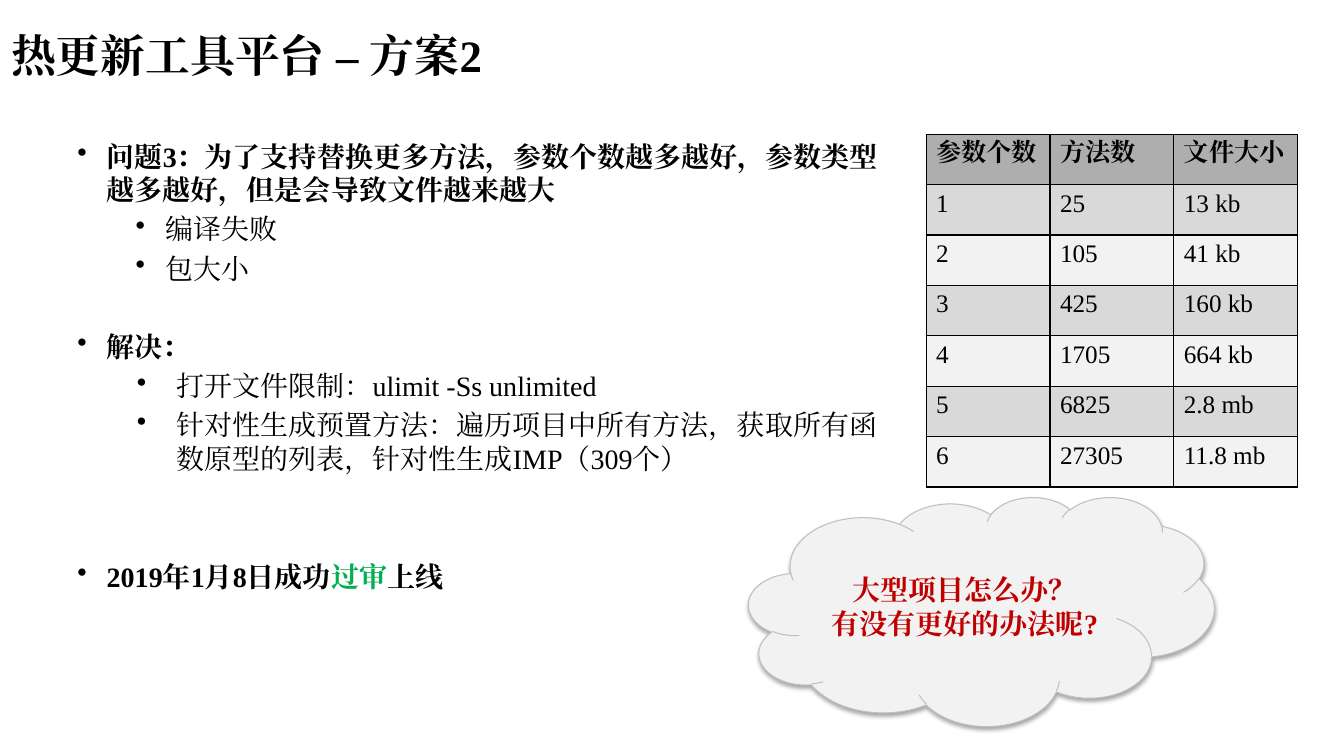
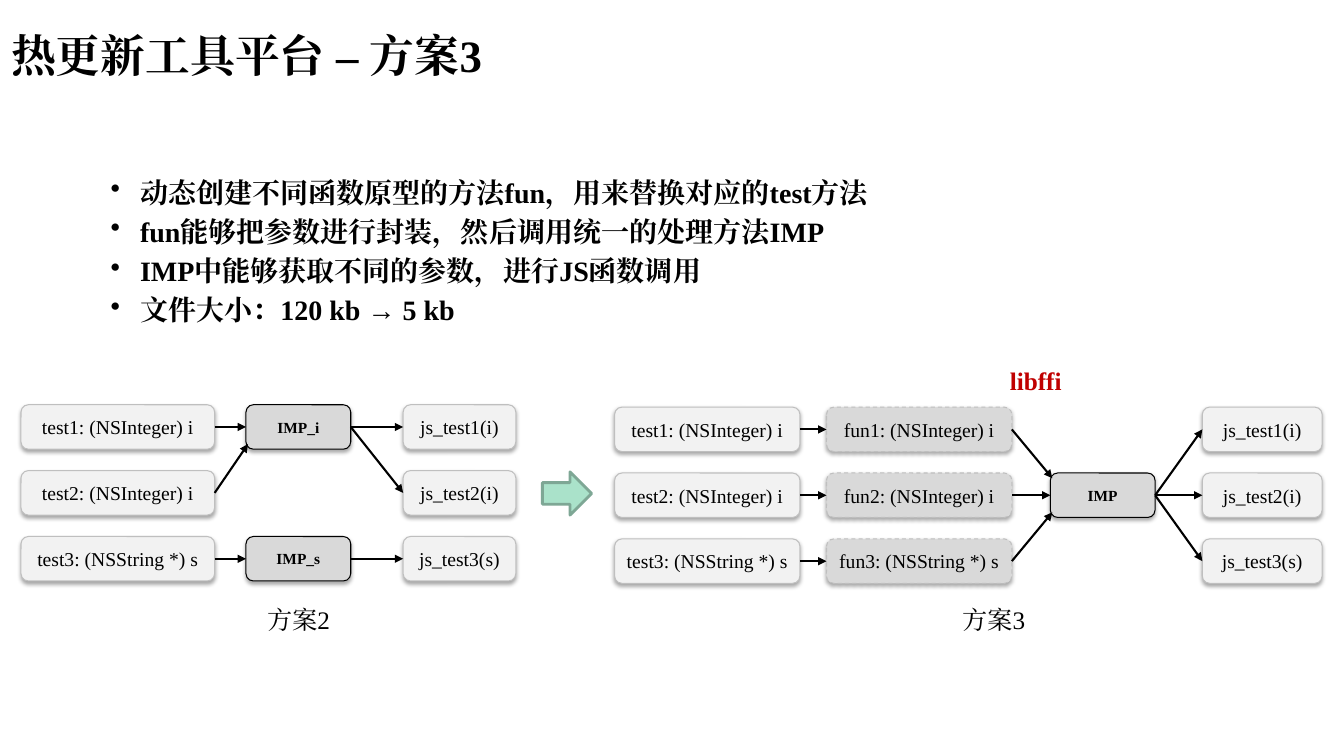
"""Build two slides on a hot-update tool platform: schemes 2 and 3."""
from dataclasses import dataclass

from pptx import Presentation
from pptx.dml.color import RGBColor
from pptx.enum.dml import MSO_LINE
from pptx.enum.lang import MSO_LANGUAGE_ID as Language
from pptx.enum.shapes import MSO_CONNECTOR as Connector, MSO_SHAPE as Preset
from pptx.enum.text import MSO_ANCHOR as Anchor, PP_ALIGN as Align
from pptx.oxml.ns import qn
from pptx.oxml.xmlchemy import OxmlElement
from pptx.util import Cm, Pt


@dataclass(frozen=True)
class Theme:
    font: str = "Times New Roman"
    black: str = "000000"
    red: str = "C00000"
    green: str = "00B050"
    pale: str = "F2F2F2"
    grey: str = "D9D9D9"
    header: str = "AEAEAE"
    outline: str = "BFBFBF"
    mint: str = "AAE2CA"
    mint_line: str = "7EA795"
    title: int = 32
    body: int = 20
    label: int = 18
    node: int = 14
    hub: int = 11


THEME = Theme()

BULLET_INDENTS = {"top": (0.74, 0.74), "sub": (2.21, 0.74), "step": (2.49, 0.99)}
LINE_GAP = 4

SCHEME2_TITLE = "热更新工具平台 – 方案2"
SCHEME2_BULLETS = [
    ("top", 0, [("问题3：为了支持替换更多方法，参数个数越多越好，参数类型越多越好，但是会导致文件越来越大", THEME.black)]),
    ("sub", LINE_GAP, [("编译失败", THEME.black)]),
    ("sub", LINE_GAP, [("包大小", THEME.black)]),
    ("top", 32, [("解决：", THEME.black)]),
    ("step", LINE_GAP, [("打开文件限制：ulimit -Ss unlimited", THEME.black)]),
    ("step", LINE_GAP, [("针对性生成预置方法：遍历项目中所有方法，获取所有函数原型的列表，针对性生成IMP（309个）", THEME.black)]),
    ("top", 60, [("2019年1月8日成功", THEME.black), ("过审", THEME.green), ("上线", THEME.black)]),
]
SIZE_TABLE = [
    ("参数个数", "方法数", "文件大小"),
    ("1", "25", "13 kb"),
    ("2", "105", "41 kb"),
    ("3", "425", "160 kb"),
    ("4", "1705", "664 kb"),
    ("5", "6825", "2.8 mb"),
    ("6", "27305", "11.8 mb"),
]
CLOUD_LINES = ["大型项目怎么办？", "有没有更好的办法呢?"]

SCHEME3_TITLE = "热更新工具平台 – 方案3"
SCHEME3_LINES = [
    "动态创建不同函数原型的方法fun，用来替换对应的test方法",
    "fun能够把参数进行封装，然后调用统一的处理方法IMP",
    "IMP中能够获取不同的参数，进行JS函数调用",
    "文件大小：120 kb → 5 kb",
]
SCHEME3_BULLETS = [
    ("top", LINE_GAP if index else 0, [(line, THEME.black)])
    for index, line in enumerate(SCHEME3_LINES)
]
TESTS = ["test1: (NSInteger) i", "test2: (NSInteger) i", "test3: (NSString *) s"]
FUNS = ["fun1: (NSInteger) i", "fun2: (NSInteger) i", "fun3: (NSString *) s"]
SCRIPTS = ["js_test1(i)", "js_test2(i)", "js_test3(s)"]

NODE_STYLES = {
    "plain": (THEME.pale, THEME.outline, THEME.node),
    "dashed": (THEME.grey, THEME.outline, THEME.node),
    "hub": (THEME.grey, THEME.black, THEME.hub),
}
NODE_HEIGHT, ROW_PITCH = 1.12, 1.66
DIAGRAMS = [
    {
        "top": 10.2,
        "columns": [
            (0.53, 4.88, "plain", dict(enumerate(TESTS))),
            (6.2, 2.64, "hub", {0: "IMP_i", 2: "IMP_s"}),
            (10.16, 2.84, "plain", dict(enumerate(SCRIPTS))),
        ],
        "links": [
            (TESTS[0], "IMP_i"), (TESTS[1], "IMP_i"), (TESTS[2], "IMP_s"),
            ("IMP_i", SCRIPTS[0]), ("IMP_i", SCRIPTS[1]), ("IMP_s", SCRIPTS[2]),
        ],
    },
    {
        "top": 10.26,
        "columns": [
            (15.49, 4.67, "plain", dict(enumerate(TESTS))),
            (20.83, 4.67, "dashed", dict(enumerate(FUNS))),
            (26.47, 2.64, "hub", {1: "IMP"}),
            (30.3, 3.02, "plain", dict(enumerate(SCRIPTS))),
        ],
        "links": [
            *zip(TESTS, FUNS),
            *((fun, "IMP") for fun in FUNS),
            *(("IMP", script) for script in SCRIPTS),
        ],
    },
]
DIAGRAM_LABELS = [
    ("方案2", 6.48, 15.11, THEME.black, False),
    ("方案3", 24, 15.11, THEME.black, False),
    ("libffi", 25.2, 9.07, THEME.red, True),
]


def rgb(value):
    return RGBColor.from_string(value)


def child(parent, tag, **attributes):
    element = OxmlElement(tag)
    for name, value in attributes.items():
        element.set(name, str(value))
    parent.append(element)
    return element


def add_run(paragraph, text, size, color=THEME.black, bold=False):
    run = paragraph.add_run()
    run.text = text
    font = run.font
    font.name, font.size, font.bold = THEME.font, Pt(size), bold
    font.color.rgb = rgb(color)
    font.language_id = Language.SIMPLIFIED_CHINESE
    child(font._element, "a:ea", typeface=THEME.font)


def add_text_box(slide, left, top, width, height):
    frame = slide.shapes.add_textbox(Cm(left), Cm(top), Cm(width), Cm(height)).text_frame
    frame.word_wrap = True
    return frame


def add_titled_slide(presentation, title):
    slide = presentation.slides.add_slide(presentation.slide_layouts[6])
    frame = add_text_box(slide, 0.03, 0.2, 22.28, 2.34)
    frame.vertical_anchor = Anchor.MIDDLE
    add_run(frame.paragraphs[0], title, THEME.title, bold=True)
    return slide


def add_bullets(slide, bullets, left, top, width, height):
    frame = add_text_box(slide, left, top, width, height)
    for index, (level, gap, runs) in enumerate(bullets):
        paragraph = frame.add_paragraph() if index else frame.paragraphs[0]
        margin, hanging = BULLET_INDENTS[level]
        properties = paragraph._p.get_or_add_pPr()
        properties.set("marL", str(Cm(margin)))
        properties.set("indent", str(-Cm(hanging)))
        child(properties, "a:buChar", char="•")
        paragraph.space_before = Pt(gap)
        for text, color in runs:
            add_run(paragraph, text, THEME.body, color, bold=level == "top")


def add_preset(slide, preset, box, fill, line, weight=0.75):
    shape = slide.shapes.add_shape(preset, *(Cm(value) for value in box))
    shape.shadow.inherit = False
    shape.fill.solid()
    shape.fill.fore_color.rgb = rgb(fill)
    shape.line.color.rgb = rgb(line)
    shape.line.width = Pt(weight)
    return shape


def add_shadow(shape):
    effects = shape._element.spPr.find(qn("a:effectLst"))
    shadow = child(effects, "a:outerShdw", blurRad=Pt(3.1), dist=Pt(1.8),
                   dir=5400000, rotWithShape=0)
    color = child(shadow, "a:srgbClr", val=THEME.black)
    child(color, "a:alpha", val=35000)


def write_centred(shape, lines, size, color=THEME.black, bold=False):
    frame = shape.text_frame
    frame.word_wrap = True
    frame.vertical_anchor = Anchor.MIDDLE
    for index, line in enumerate(lines):
        paragraph = frame.add_paragraph() if index else frame.paragraphs[0]
        paragraph.alignment = Align.CENTER
        add_run(paragraph, line, size, color, bold)


def add_cell_borders(cell):
    properties = cell._tc.get_or_add_tcPr()
    for side in ("L", "R", "T", "B"):
        line = child(properties, f"a:ln{side}", w=Pt(1))
        child(child(line, "a:solidFill"), "a:srgbClr", val=THEME.black)


def add_size_table(slide, rows, left, top, column_width, row_height):
    columns = len(rows[0])
    table = slide.shapes.add_table(
        len(rows), columns, Cm(left), Cm(top),
        Cm(column_width * columns), Cm(row_height * len(rows))).table
    for row_index, row in enumerate(rows):
        banded = THEME.grey if row_index % 2 else THEME.pale
        for column_index, text in enumerate(row):
            cell = table.cell(row_index, column_index)
            add_cell_borders(cell)
            cell.fill.solid()
            cell.fill.fore_color.rgb = rgb(banded if row_index else THEME.header)
            add_run(cell.text_frame.paragraphs[0], text, THEME.label, bold=row_index == 0)


def add_node(slide, label, style, box):
    fill, line, size = NODE_STYLES[style]
    shape = add_preset(slide, Preset.ROUNDED_RECTANGLE, box, fill, line)
    add_shadow(shape)
    if style == "dashed":
        shape.line.dash_style = MSO_LINE.DASH
    write_centred(shape, [label], size, bold=style == "hub")
    return shape


def add_arrow(slide, source, target, corner):
    """Join two nodes; corner is 0 for the middle, -1 for the top and 1 for the bottom."""
    end_x = target.left + Cm(0.05)
    inset = Cm(0.13)
    end_y = target.top + (inset if corner < 0 else target.height - inset)
    arrow = slide.shapes.add_connector(Connector.STRAIGHT, source.left, source.top, end_x, end_y)
    arrow.begin_connect(source, 3)
    if not corner:
        arrow.end_connect(target, 1)
    arrow.line.color.rgb = rgb(THEME.black)
    arrow.line.width = Pt(1.5)
    child(arrow.line._get_or_add_ln(), "a:tailEnd", type="triangle")
    child(arrow._element.spPr, "a:effectLst")


def add_diagram(slide, diagram):
    nodes = {}
    for left, width, style, labels in diagram["columns"]:
        for row, label in labels.items():
            box = (left, diagram["top"] + row * ROW_PITCH, width, NODE_HEIGHT)
            nodes[label] = (add_node(slide, label, style, box), row, style)
    for start, end in diagram["links"]:
        source, source_row, _ = nodes[start]
        target, target_row, style = nodes[end]
        corner = source_row - target_row if style == "hub" else 0
        add_arrow(slide, source, target, corner)


def build_scheme2(presentation):
    slide = add_titled_slide(presentation, SCHEME2_TITLE)
    add_bullets(slide, SCHEME2_BULLETS, 1.7, 3.38, 20.88, 12.98)
    add_size_table(slide, SIZE_TABLE, 23.34, 3.38, 3.12, 1.27)
    cloud = add_preset(slide, Preset.CLOUD, (18.87, 12.52, 11.73, 5.77),
                       THEME.pale, THEME.outline)
    add_shadow(cloud)
    write_centred(cloud, CLOUD_LINES, THEME.body, THEME.red, bold=True)


def build_scheme3(presentation):
    slide = add_titled_slide(presentation, SCHEME3_TITLE)
    add_bullets(slide, SCHEME3_BULLETS, 2.54, 4.29, 27.94, 4.6)
    for diagram in DIAGRAMS:
        add_diagram(slide, diagram)
    add_preset(slide, Preset.RIGHT_ARROW, (13.67, 11.89, 1.24, 1.09),
               THEME.mint, THEME.mint_line, 2)
    for text, left, top, color, bold in DIAGRAM_LABELS:
        frame = add_text_box(slide, left, top, 2.1, 1.02)
        add_run(frame.paragraphs[0], text, THEME.label, color, bold)


def main():
    presentation = Presentation()
    presentation.slide_width, presentation.slide_height = Cm(33.87), Cm(19.05)
    build_scheme2(presentation)
    build_scheme3(presentation)
    presentation.save("out.pptx")


if __name__ == "__main__":
    main()
